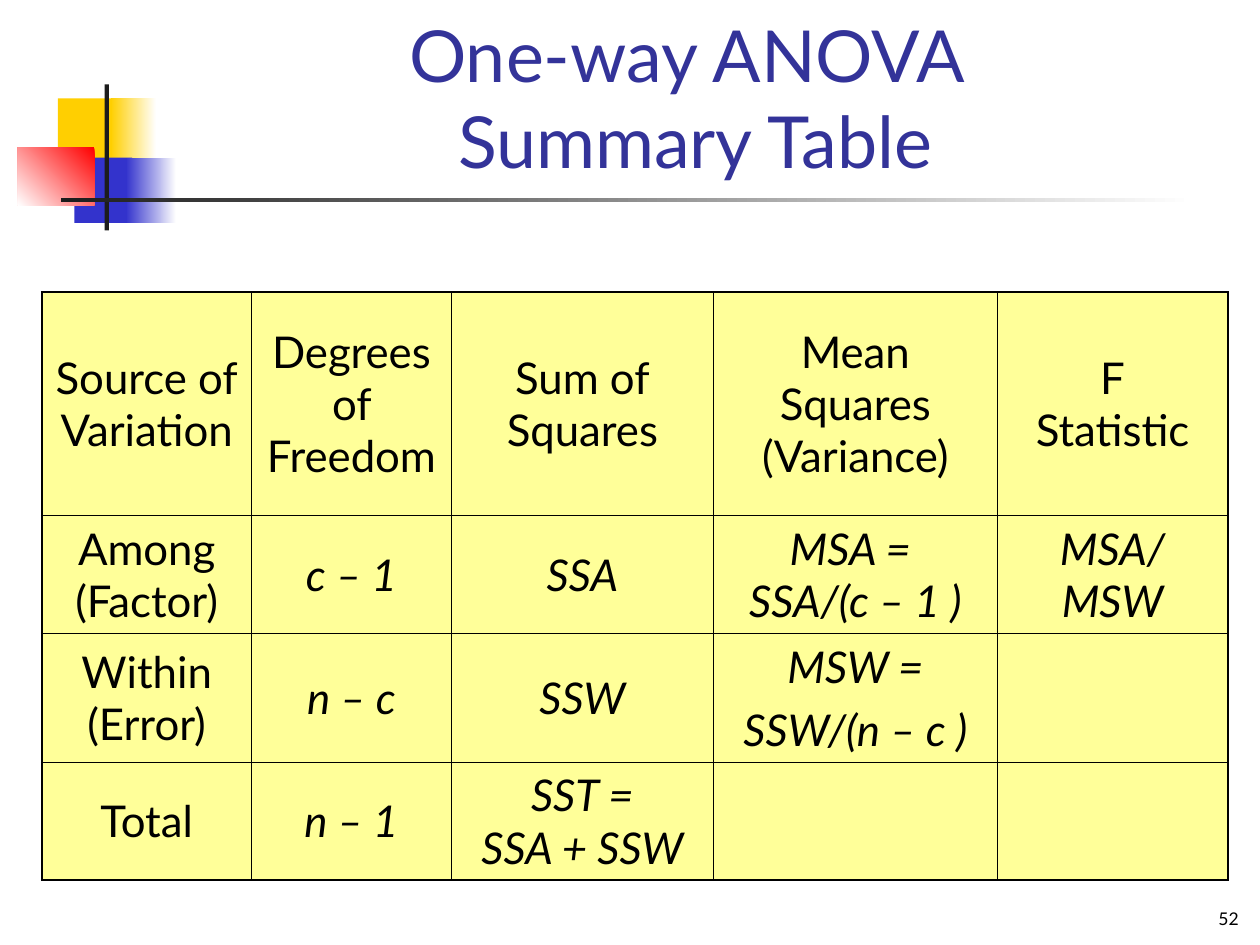
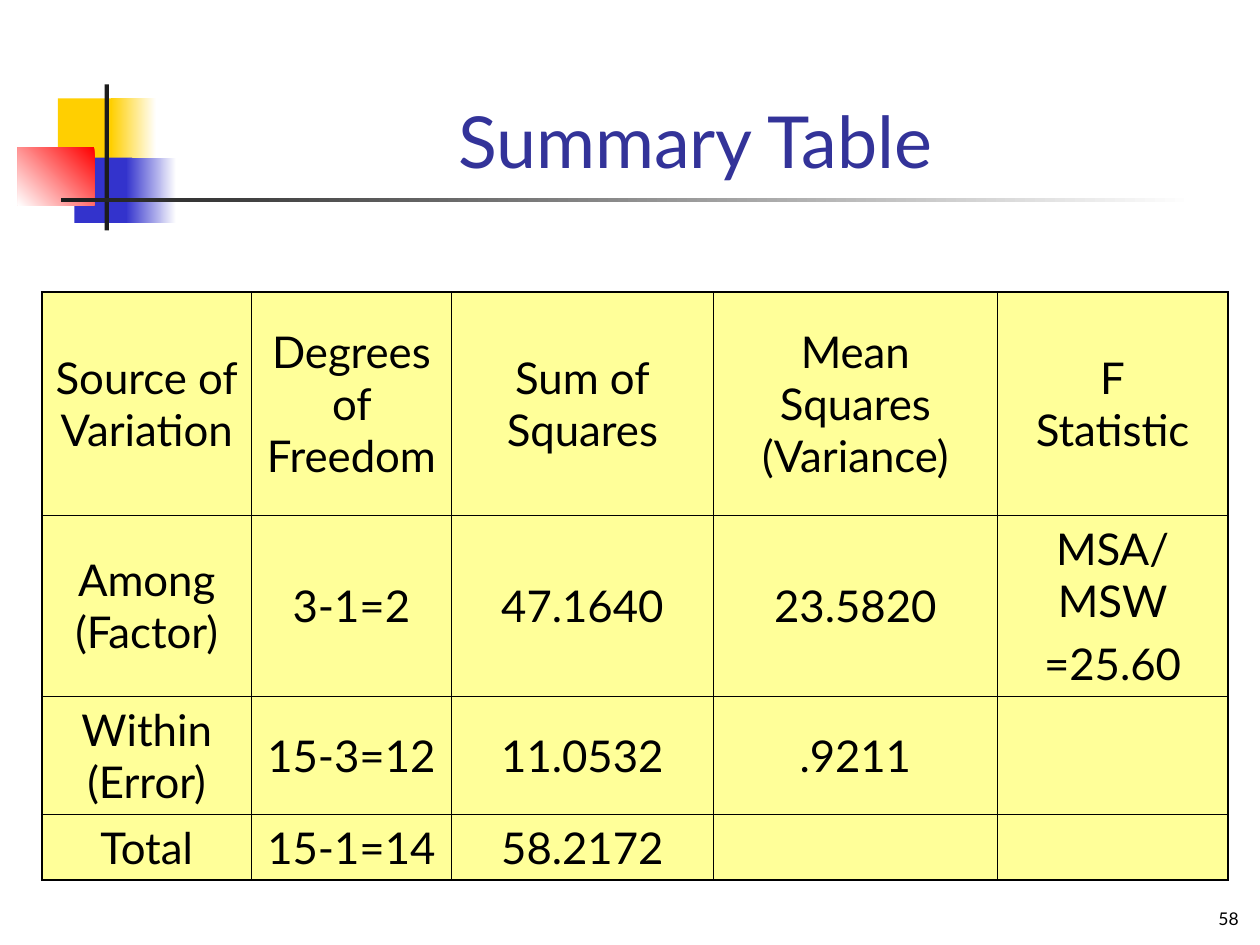
from dataclasses import dataclass

from lxml import etree
from pptx import Presentation
from pptx.dml.color import RGBColor
from pptx.enum import shapes, text
from pptx.oxml import ns
from pptx.util import Pt


@dataclass(frozen=True)
class Theme:
    font: str = "Lato"
    ink: str = "000000"
    title: str = "333399"
    cell: str = "FFFF99"
    gold: str = "FFCF01"
    blue: str = "3333CC"
    red: str = "FF0000"
    dark: str = "1C1C1C"
    white: str = "FFFFFF"
    head: float = 41
    body: float = 25
    note: float = 10
    thick: float = 1.08
    thin: float = 0.45


T = Theme()
TITLE = (90.7, 18, 613.4, 90)
TABLE = (23.8, 167, 678, 336)
NUMBER = (564.5, 497.5, 149.8, 36.7)
MARGINS = dict(margin_left=Pt(6.5), margin_right=Pt(6.5),
               margin_top=Pt(3.6), margin_bottom=Pt(3.6))
COLS = (120, 114, 150, 162, 132)
HEADS = ("Source of\vVariation", "Degrees of Freedom", "Sum of\vSquares",
         "Mean Squares\v(Variance)", "F\vStatistic")
SIDES = ("Among\v(Factor)", "Within\v(Error)", "Total")

FORMULAS = (
    ("c – 1", "SSA", "MSA = \vSSA/(c – 1 )", "MSA/MSW"),
    ("n – c", "SSW", "MSW =\nSSW/(n – c )", ""),
    ("n – 1", "SST =\vSSA + SSW", "", ""),
)
RESULTS = (
    ("3-1=2", "47.1640", "23.5820", "MSA/MSW\n=25.60"),
    ("15-3=12", "11.0532", ".9211", ""),
    ("15-1=14", "58.2172", "", ""),
)


def put(obj, **vals):
    for key, val in vals.items():
        setattr(obj, key, val)


def write(frame, words, size, color, align, italic=False, gap=0):
    """Fill a text frame; gap is the space between its paragraphs."""
    frame.text = words
    for i, par in enumerate(frame.paragraphs):
        put(par, alignment=align, space_before=Pt(gap if i else 0))
        for run in par.runs:
            put(run.font, name=T.font, size=Pt(size), italic=italic)
            run.font.color.rgb = RGBColor.from_string(color)


def paint(fill, colors, angle):
    if len(colors) == 1:
        fill.solid()
        fill.fore_color.rgb = RGBColor.from_string(colors[0])
        return
    fill.gradient()
    fill.gradient_angle = angle
    for stop, color in zip(fill.gradient_stops, colors):
        stop.color.rgb = RGBColor.from_string(color)


def emblem(slide, x, y):
    """Draw the coloured squares and the crossed lines; return them."""
    parts = (
        (23.1, 8.2, 34.6, 37.4, (T.gold,), 0),
        (53.4, 8.2, 25.9, 37.4, (T.white, T.gold), 180),
        (32.5, 42, 33.1, 37.4, (T.blue,), 0),
        (62, 42, 28.8, 37.4, (T.white, T.blue), 180),
        (0, 36.2, 43.9, 33.1, (T.red, T.white), 225),
        (49.8, 0.2, 2.4, 83.5, (T.dark,), 0),
        (24.6, 65, 648, 2.3, (T.white, T.dark), 180),
    )
    made = []
    for dx, dy, w, h, colors, angle in parts:
        box = slide.shapes.add_shape(
            shapes.MSO_SHAPE.RECTANGLE, Pt(x + dx), Pt(y + dy), Pt(w), Pt(h))
        box.shadow.inherit = False
        box.line.fill.background()
        paint(box.fill, colors, angle)
        made.append(box)
    return made


def share(slide, layout):
    """Place the emblem on the layout, behind its title."""
    for hold in list(layout.placeholders):
        if hold.placeholder_format.idx:
            hold.element.getparent().remove(hold.element)
    for i, box in enumerate(emblem(slide, 10, 48)):
        layout.shapes.element.insert(2 + i, box.element)


def heading(slide, box, words):
    x, y, w, h = map(Pt, box)
    title = slide.shapes.title
    put(title, left=x, top=y, width=w, height=h)
    frame = title.text_frame
    put(frame, vertical_anchor=text.MSO_ANCHOR.BOTTOM, word_wrap=True,
        auto_size=text.MSO_AUTO_SIZE.NONE, **MARGINS)
    write(frame, words, T.head, T.title, text.PP_ALIGN.CENTER)


def number(slide, box, page):
    frame = slide.shapes.add_textbox(*map(Pt, box)).text_frame
    put(frame, vertical_anchor=text.MSO_ANCHOR.BOTTOM, word_wrap=True, **MARGINS)
    write(frame, str(page), T.note, T.ink, text.PP_ALIGN.RIGHT)


def border(cell, widths):
    """Set left, right, top and bottom lines, given in that order."""
    props = cell._tc.get_or_add_tcPr()
    for i, (tag, width) in enumerate(zip(("lnL", "lnR", "lnT", "lnB"), widths)):
        line = etree.Element(ns.qn("a:" + tag), w=str(Pt(width)))
        fill = etree.SubElement(line, ns.qn("a:solidFill"))
        etree.SubElement(fill, ns.qn("a:srgbClr"), val=T.ink)
        props.insert(i, line)


def grid(slide, box, rows, data, italic):
    cells = [HEADS] + [(side, *vals) for side, vals in zip(SIDES, data)]
    table = slide.shapes.add_table(len(rows), len(COLS), *map(Pt, box)).table
    put(table, first_row=False, horz_banding=False)
    for col, w in zip(table.columns, COLS):
        col.width = Pt(w)
    for row, h in zip(table.rows, rows):
        row.height = Pt(h)
    for r, line in enumerate(cells):
        for c, words in enumerate(line):
            cell = table.cell(r, c)
            put(cell, vertical_anchor=text.MSO_ANCHOR.MIDDLE)
            paint(cell.fill, (T.cell,), 0)
            edges = (c == 0, c == len(COLS) - 1, r == 0, r == len(rows) - 1)
            border(cell, [T.thick if edge else T.thin for edge in edges])
            if words:
                write(cell.text_frame, words, T.body, T.ink,
                      text.PP_ALIGN.CENTER, italic and r > 0 and c > 0, 6.2)


def summary(slide, words, page, rows, data, italic=False):
    heading(slide, TITLE, words)
    grid(slide, TABLE, rows, data, italic)
    number(slide, NUMBER, page)


def main():
    deck = Presentation()
    put(deck, slide_width=Pt(720), slide_height=Pt(540))
    layout = deck.slide_layouts[5]
    first, second = (deck.slides.add_slide(layout) for _ in range(2))
    share(first, layout)
    summary(first, "One-way ANOVA \vSummary Table", 52,
            (127.5, 67.5, 73.5, 67.5), FORMULAS, italic=True)
    summary(second, "Summary Table", 58,
            (127.5, 103.5, 67.5, 37.5), RESULTS)
    deck.save("out.pptx")


if __name__ == "__main__":
    main()
